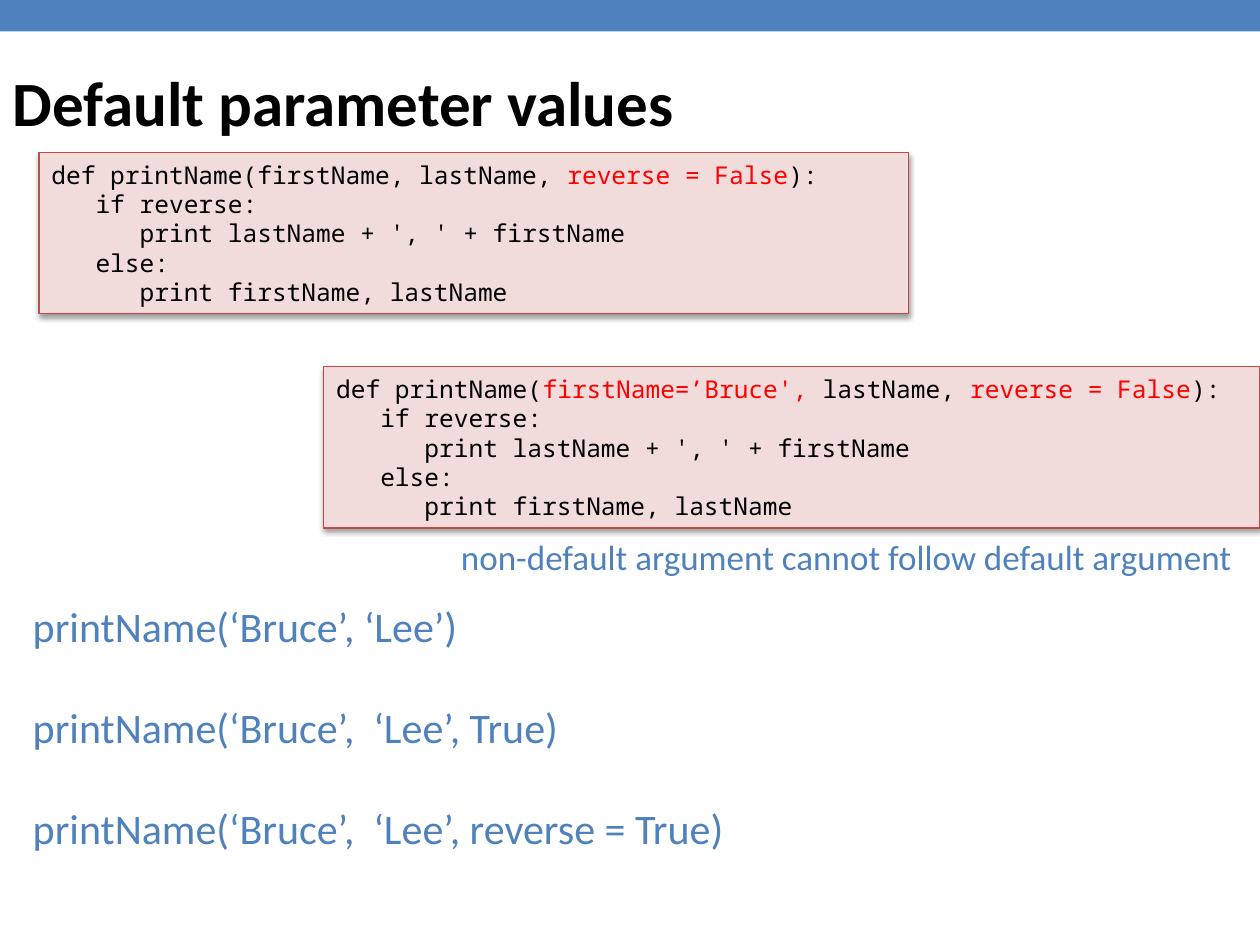
import pptx
import pptx.dml.color
import pptx.enum.shapes
import pptx.enum.text
import pptx.oxml
import pptx.oxml.ns
import pptx.util

Inches = pptx.util.Inches
Pt = pptx.util.Pt
RGBColor = pptx.dml.color.RGBColor
RECTANGLE = pptx.enum.shapes.MSO_SHAPE.RECTANGLE

BLUE = RGBColor(0x4F, 0x81, 0xBD)
BLACK = RGBColor(0, 0, 0)
RED = RGBColor(0xFF, 0, 0)
PINK = RGBColor(0xF2, 0xDC, 0xDB)
BRICK = RGBColor(0xBF, 0x4C, 0x48)

SHADOW = (
    f'<a:effectLst {pptx.oxml.ns.nsdecls("a")}>'
    '<a:outerShdw blurRad="40000" dist="20000" dir="5400000" rotWithShape="0">'
    '<a:srgbClr val="000000"><a:alpha val="38000"/></a:srgbClr>'
    '</a:outerShdw></a:effectLst>'
)

FUNCTION_BODY = [
    [("   if reverse:", BLACK)],
    [("      print lastName + ', ' + firstName", BLACK)],
    [("   else:", BLACK)],
    [("      print firstName, lastName", BLACK)],
]
LAST_DEFAULT = [
    [("def printName(firstName, lastName, ", BLACK),
     ("reverse = False", RED), ("):", BLACK)],
]
FIRST_DEFAULT = [
    [("def printName(", BLACK), ("firstName=’Bruce', ", RED),
     ("lastName, ", BLACK), ("reverse = False", RED), ("):", BLACK)],
]
CALLS = [
    "printName(‘Bruce’, ‘Lee’)",
    "printName(‘Bruce’,  ‘Lee’, True)",
    "printName(‘Bruce’,  ‘Lee’, reverse = True)",
]


class SlideBuilder:
    text_font = "Calibri"
    code_font = "Noto Sans Mono"

    def __init__(self, slide):
        self.slide = slide

    def place(self, sp, left, top, width, height):
        sp.left, sp.top = Inches(left), Inches(top)
        sp.width, sp.height = Inches(width), Inches(height)

    def add_lines(self, sp, lines, size, font=text_font, bold=False, gap=0):
        """Fill sp with lines, each a list of (text, colour) runs."""
        tf = sp.text_frame
        tf.word_wrap = True
        tf.auto_size = pptx.enum.text.MSO_AUTO_SIZE.NONE
        tf.vertical_anchor = pptx.enum.text.MSO_ANCHOR.MIDDLE
        for i, line in enumerate(lines):
            p = tf.add_paragraph() if i else tf.paragraphs[0]
            p.alignment = pptx.enum.text.PP_ALIGN.LEFT
            p.space_before = Pt(gap if i else 0)
            for text, color in line:
                r = p.add_run()
                r.text = text
                r.font.name = font
                r.font.size = Pt(size)
                r.font.bold = bold
                r.font.color.rgb = color

    def title(self, text, *box):
        sp = self.slide.shapes.title
        self.place(sp, *box)
        self.add_lines(sp, [[(text, BLACK)]], 36, bold=True)

    def body(self, lines, *box):
        sp = self.slide.placeholders[1]
        self.place(sp, *box)
        self.add_lines(sp, [[(line, BLUE)] for line in lines], 24, gap=29)
        for p in sp.text_frame.paragraphs:
            pPr = p._p.get_or_add_pPr()
            pPr.set("marL", "0")
            pPr.set("indent", "0")
            pPr.append(pptx.oxml.parse_xml(
                f'<a:buNone {pptx.oxml.ns.nsdecls("a")}/>'))

    def rectangle(self, fill, *box):
        sp = self.slide.shapes.add_shape(RECTANGLE, *map(Inches, box))
        sp.shadow.inherit = False
        sp.fill.solid()
        sp.fill.fore_color.rgb = fill
        sp.line.fill.background()
        return sp

    def code(self, lines, *box):
        sp = self.rectangle(PINK, *box)
        sp.line.color.rgb = BRICK
        sp.line.width = Pt(0.75)
        spPr = sp._element.spPr
        spPr.remove(spPr.find(pptx.oxml.ns.qn("a:effectLst")))
        spPr.append(pptx.oxml.parse_xml(SHADOW))
        self.add_lines(sp, lines, 14, font=self.code_font)

    def note(self, text, *box):
        sp = self.slide.shapes.add_textbox(*map(Inches, box))
        self.add_lines(sp, [[(text, BLUE)]], 20)


def main():
    prs = pptx.Presentation()
    prs.slide_width, prs.slide_height = Inches(10), Inches(7.5)
    s = SlideBuilder(prs.slides.add_slide(prs.slide_layouts[1]))
    s.title("Default parameter values", 0, 0, 9.12, 1.61)
    s.body(CALLS, 0.16, 4.71, 9.63, 2.12)
    s.code(LAST_DEFAULT + FUNCTION_BODY, 0.31, 1.21, 6.9, 1.28)
    s.code(FIRST_DEFAULT + FUNCTION_BODY, 2.57, 2.91, 7.43, 1.28)
    s.note("non-default argument cannot follow default argument",
           3.56, 4.2, 6.54, 0.44)
    s.rectangle(BLUE, 0, 0, 10, 0.25)
    prs.save("out.pptx")


if __name__ == "__main__":
    main()
